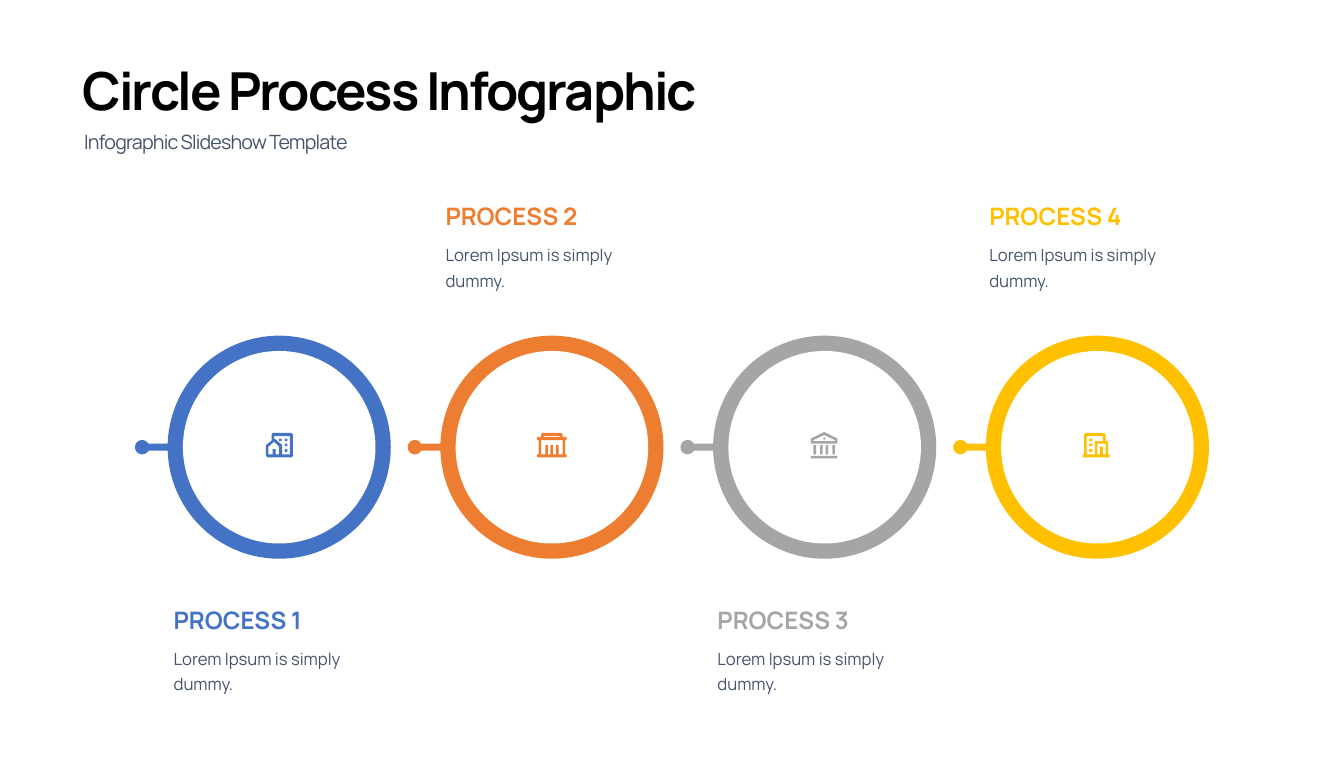
from dataclasses import dataclass
from math import asin, cos, pi, sin

from pptx import Presentation
from pptx.dml.color import RGBColor
from pptx.enum.shapes import MSO_SHAPE
from pptx.enum.text import MSO_ANCHOR, MSO_AUTO_SIZE, PP_ALIGN
from pptx.util import Pt

# Content
TITLE = "Circle Process Infographic"
SUBTITLE = "Infographic Slideshow Template"
CAPTION = "Lorem Ipsum is simply dummy."


def bar(left, top, right, bottom):
    return [(left, top), (right, top), (right, bottom), (left, bottom)]


HOUSE = [
    [(50, 48), (3, 48), (0, 45), (0, 25), (1, 23), (11, 15), (11, 3), (13, 0),
     (50, 0), (53, 3), (53, 45)],
    [(19, 42), (26, 42), (26, 27), (16, 17), (5, 27), (5, 42), (13, 42), (13, 32), (19, 32)],
    [(32, 42), (47, 42), (47, 6), (16, 6), (16, 11), (18, 12), (31, 23), (32, 25)],
    *[bar(left, top, left + 5, top + 5) for left, top in [(37, 21), (37, 32), (37, 11), (26, 11)]],
]
HALL = [
    [(50, 8), (58, 8), (58, 14), (55, 14), (55, 42), (58, 42), (58, 48), (0, 48), (0, 42),
     (3, 42), (3, 14), (0, 14), (0, 8), (8, 8), (8, 3), (10, 0), (47, 0), (50, 3)],
    [(50, 14), (8, 14), (8, 42), (16, 42), (16, 24), (21, 24), (21, 42), (26, 42), (26, 24),
     (31, 24), (31, 42), (37, 42), (37, 24), (42, 24), (42, 42), (50, 42)],
    bar(13, 6, 44, 8),
]
BANK = [
    bar(0, 47, 52, 52),
    *[bar(left, 26, left + 5, 44) for left in (5, 18, 29, 42)],
    [(0, 13), (26, 0), (52, 13), (52, 23), (0, 23)],
    [(5, 16), (5, 18), (47, 18), (47, 16), (26, 6)],
    [(24, 13), (26, 10), (29, 13), (26, 16)],
]
OFFICE = [
    [(53, 48), (0, 48), (0, 42), (3, 42), (3, 3), (6, 0), (42, 0), (45, 3), (45, 16),
     (50, 16), (50, 42), (53, 42)],
    [(40, 42), (45, 42), (45, 21), (29, 21), (29, 42), (34, 42), (34, 27), (40, 27)],
    [(40, 16), (40, 6), (8, 6), (8, 42), (24, 42), (24, 16)],
    *[bar(13, top, 19, top + 5) for top in (21, 32, 11)],
]

# Heading, colour, icon, icon offset from the ring centre
STEPS = [
    ("PROCESS 1", "4472C4", HOUSE, (-26, -28)),
    ("PROCESS 2", "ED7D31", HALL, (-29, -28)),
    ("PROCESS 3", "A5A5A5", BANK, (-27, -30)),
    ("PROCESS 4", "FFC000", OFFICE, (-29, -28)),
]


# Theme and measures
@dataclass(frozen=True)
class Theme:
    font: str = "Manrope"
    black: str = "000000"
    slate: str = "44546A"
    white: str = "FFFFFF"
    title: float = 74
    subtitle: float = 27.8
    heading: float = 34
    caption: float = 23.7


THEME = Theme()
EMU_PER_PX = 9144
SLIDE_WIDTH, SLIDE_HEIGHT = 2638, 1496
RING_X, RING_Y, RING_SPAN = 548, 878, 1606
RING_RADIUS, HOLE_RADIUS = 219, 189
DOT_OFFSET, DOT_RADIUS, STEM_HALF = 269, 14, 7
CAPTION_X, CAPTION_SPAN, CAPTION_WIDTH = 331, 1601, 439
ABOVE, BELOW, CAPTION_DROP = 391, 1183, 75
GAPS = len(STEPS) - 1


def px(value):
    return round(value * EMU_PER_PX)


def write(box, area, text, size, color, bold=False, leading=None, tracking=0):
    box.left, box.top, box.width, box.height = map(px, area)
    frame = box.text_frame
    frame_format = {"word_wrap": True, "auto_size": MSO_AUTO_SIZE.NONE,
                    "vertical_anchor": MSO_ANCHOR.TOP}
    for name, value in frame_format.items():
        setattr(frame, name, value)
    para = frame.paragraphs[0]
    para_format = {"alignment": PP_ALIGN.LEFT, "space_before": Pt(0),
                   "line_spacing": Pt(leading) if leading else 1.0}
    for name, value in para_format.items():
        setattr(para, name, value)
    span = para.add_run()
    span.text = text
    for name, value in {"name": THEME.font, "size": Pt(size), "bold": bold}.items():
        setattr(span.font, name, value)
    span.font.color.rgb = RGBColor.from_string(color)
    if tracking:
        span.font._element.set("spc", str(round(tracking * 100)))


def paint(shape, color):
    shape.shadow.inherit = False
    shape.fill.solid()
    shape.fill.fore_color.rgb = RGBColor.from_string(color)
    shape.line.fill.background()


def draw_outline(page, contours, left, top, color):
    contours = [[(px(x), px(y)) for x, y in contour] for contour in contours]
    builder = page.shapes.build_freeform(*contours[0][0], scale=1.0)
    for contour in contours:
        builder.move_to(*contour[0])
        builder.add_line_segments(contour[1:], close=True)
    paint(builder.convert_to_shape(px(left), px(top)), color)


def arc(center_x, radius, start, end, count):
    angles = [start + (end - start) * step / count for step in range(count + 1)]
    return [(center_x + radius * cos(angle), radius * sin(angle)) for angle in angles]


def ring_outline():
    ring_gap, dot_gap = asin(STEM_HALF / RING_RADIUS), asin(STEM_HALF / DOT_RADIUS)
    return (arc(0, RING_RADIUS, -pi + ring_gap, pi - ring_gap, 120)
            + arc(-DOT_OFFSET, DOT_RADIUS, dot_gap, 2 * pi - dot_gap, 32))


def main():
    deck = Presentation()
    deck.slide_width, deck.slide_height = px(SLIDE_WIDTH), px(SLIDE_HEIGHT)
    page = deck.slides.add_slide(deck.slide_layouts[0])

    # Title and subtitle
    title, subtitle = page.placeholders
    write(title, (152, 102, 2024, 138), TITLE, THEME.title, THEME.black,
          bold=True, leading=94, tracking=-2.9)
    write(subtitle, (155, 237, 1924, 65), SUBTITLE, THEME.subtitle, THEME.slate,
          leading=42, tracking=-1.2)

    for index, (heading, color, icon, (shift_x, shift_y)) in enumerate(STEPS):
        # Ring with its stem and icon
        center = RING_X + RING_SPAN * index / GAPS
        draw_outline(page, [ring_outline()], center, RING_Y, color)
        hole = page.shapes.add_shape(
            MSO_SHAPE.OVAL, px(center - HOLE_RADIUS), px(RING_Y - HOLE_RADIUS),
            px(2 * HOLE_RADIUS), px(2 * HOLE_RADIUS))
        paint(hole, THEME.white)
        draw_outline(page, icon, center + shift_x, RING_Y + shift_y, color)

        # Heading and caption, below and above in turn
        left = CAPTION_X + CAPTION_SPAN * index / GAPS
        top = ABOVE if index % 2 else BELOW
        write(page.shapes.add_textbox(0, 0, 0, 0), (left, top, CAPTION_WIDTH, 67),
              heading, THEME.heading, color, bold=True)
        write(page.shapes.add_textbox(0, 0, 0, 0),
              (left, top + CAPTION_DROP, CAPTION_WIDTH, 108),
              CAPTION, THEME.caption, THEME.slate, leading=36)

    deck.save("out.pptx")


if __name__ == "__main__":
    main()
